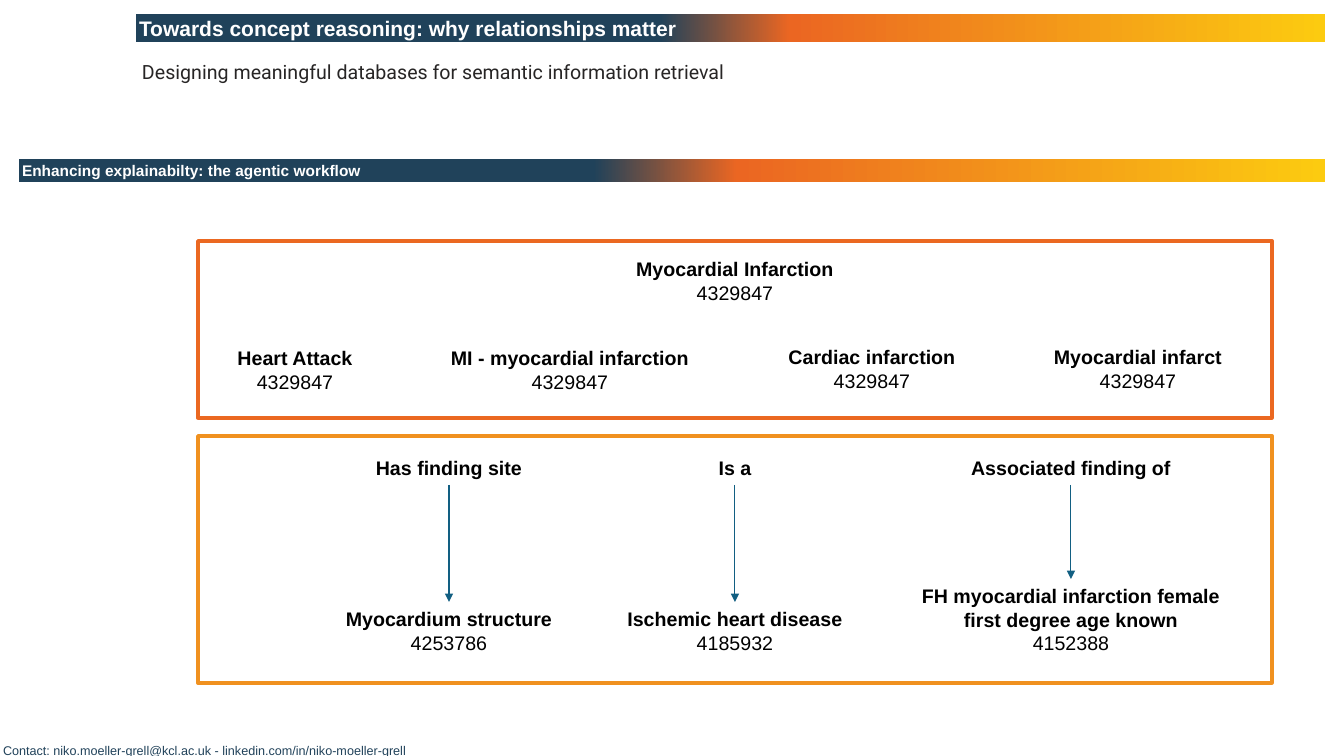
import pptx
import pptx.dml.color
import pptx.enum.shapes
import pptx.enum.text
import pptx.oxml
import pptx.oxml.ns
import pptx.util
from lxml import etree

COLORS = {
    "navy": "20425A", "orange": "EB6622", "yellow": "FCCB10",
    "ink": "272525", "contact": "21425A", "black": "000000", "white": "FFFFFF",
    "arrow": "125F82", "synonyms": "EB6821", "relations": "F09120",
}
GRADIENT = [(0, "navy"), (44, "navy"), (55, "orange"), (100, "yellow")]

SUBTITLE = "Designing meaningful databases for semantic information retrieval"
CONTACT = "Contact: niko.moeller-grell@kcl.ac.uk - linkedin.com/in/niko-moeller-grell"
# text, size, (left, top, width, height)
BANNERS = [
    ("Towards concept reasoning: why relationships matter", 15, (136, 14, 1189, 28)),
    ("Enhancing explainabilty: the agentic workflow", 11, (19, 159, 1306, 23)),
]
# name, centre x, top, width
CONCEPT_ID = "4329847"
CONCEPTS = [
    ("Myocardial Infarction", 735, 252, 218),
    ("Heart Attack", 295, 341, 138),
    ("MI - myocardial infarction", 570, 341, 260),
    ("Cardiac infarction", 872, 340, 188),
    ("Myocardial infarct", 1138, 340, 190),
]
# relation, its width, target lines, target id, target width, centre x
RELATIONS = [
    ("Has finding site", 168, ["Myocardium structure"], "4253786", 228, 449),
    ("Associated finding of", 220,
     ["FH myocardial infarction female", "first degree age known"], "4152388", 328, 1071),
    ("Is a", 54, ["Ischemic heart disease"], "4185932", 238, 735),
]
FRAMES = [("synonyms", (198, 241, 1074, 177)), ("relations", (198, 436, 1074, 247))]

SLIDE_W, SLIDE_H = 1344, 756
RELATION_TOP, RELATION_H = 451, 34
CONCEPT_H, LINE_H = 82, 23
TARGET_BOTTOM = 684


def px(length):
    return round(length * 914400 / 100.8)


def rgb(name):
    return pptx.dml.color.RGBColor.from_string(COLORS[name])


def add_run(paragraph, text, size, color, bold=False, font="Arial"):
    run = paragraph.add_run()
    run.text = text
    run.font.size = pptx.util.Pt(size)
    run.font.name = font
    run.font.bold = bold
    run.font.color.rgb = rgb(color)


def set_tight_margins(frame):
    frame.margin_left = frame.margin_right = px(3)
    frame.margin_top = frame.margin_bottom = px(1)


def add_line_of_text(shapes, text, box, size, color, font="Arial"):
    frame = shapes.add_textbox(*map(px, box)).text_frame
    frame.word_wrap = True
    set_tight_margins(frame)
    add_run(frame.paragraphs[0], text, size, color, font=font)
    return frame.paragraphs[0]


def add_banner(shapes, text, size, box):
    banner = shapes.add_shape(pptx.enum.shapes.MSO_SHAPE.RECTANGLE, *map(px, box))
    banner.shadow.inherit = False
    banner.line.fill.background()
    banner.fill.gradient()
    banner.fill.gradient_angle = 0
    stops = banner._element.spPr.find(".//" + pptx.oxml.ns.qn("a:gsLst"))
    for stop in list(stops):
        stops.remove(stop)
    for percent, color in GRADIENT:
        stop = etree.SubElement(stops, pptx.oxml.ns.qn("a:gs"), pos=str(percent * 1000))
        etree.SubElement(stop, pptx.oxml.ns.qn("a:srgbClr"), val=COLORS[color])
    frame = banner.text_frame
    set_tight_margins(frame)
    frame.vertical_anchor = pptx.enum.text.MSO_ANCHOR.MIDDLE
    frame.paragraphs[0].alignment = pptx.enum.text.PP_ALIGN.LEFT
    add_run(frame.paragraphs[0], text, size, "white", bold=True)


def add_concept(shapes, names, number, center, top, width, height):
    """Centred bold name lines, with the concept number below if there is one."""
    box = shapes.add_textbox(px(center - width / 2), px(top), px(width), px(height))
    frame = box.text_frame
    frame.word_wrap = False
    frame.auto_size = pptx.enum.text.MSO_AUTO_SIZE.SHAPE_TO_FIT_TEXT
    lines = [(name, True) for name in names] + ([(number, False)] if number else [])
    for i, (text, bold) in enumerate(lines):
        paragraph = frame.add_paragraph() if i else frame.paragraphs[0]
        paragraph.alignment = pptx.enum.text.PP_ALIGN.CENTER
        add_run(paragraph, text, 14, "black", bold)
    return box


def add_arrow(shapes, source, target, center):
    arrow = shapes.add_connector(
        pptx.enum.shapes.MSO_CONNECTOR.STRAIGHT,
        px(center), source.top + source.height, px(center), target.top)
    arrow.begin_connect(source, 2)
    arrow.end_connect(target, 0)
    arrow.line.color.rgb = rgb("arrow")
    arrow.line.width = pptx.util.Pt(0.75)
    etree.SubElement(arrow.line._get_or_add_ln(), pptx.oxml.ns.qn("a:tailEnd"), type="triangle")
    etree.SubElement(arrow._element.spPr, pptx.oxml.ns.qn("a:effectLst"))


def add_frame(shapes, color, box):
    frame = shapes.add_shape(pptx.enum.shapes.MSO_SHAPE.RECTANGLE, *map(px, box))
    frame.shadow.inherit = False
    frame.fill.background()
    frame.line.color.rgb = rgb(color)
    frame.line.width = pptx.util.Pt(2.5)


def main():
    deck = pptx.Presentation()
    deck.slide_width, deck.slide_height = px(SLIDE_W), px(SLIDE_H)
    shapes = deck.slides.add_slide(deck.slide_layouts[6]).shapes

    subtitle = add_line_of_text(shapes, SUBTITLE, (139, 46, 970, 55), 14, "ink", "Roboto")
    subtitle.line_spacing = 1.57
    for text, size, box in BANNERS:
        add_banner(shapes, text, size, box)
    add_line_of_text(shapes, CONTACT, (0, 742, 860, 18), 9, "contact")

    for name, center, top, width in CONCEPTS:
        add_concept(shapes, [name], CONCEPT_ID, center, top, width, CONCEPT_H)

    for relation, relation_w, names, number, target_w, center in RELATIONS:
        group = shapes.add_group_shape().shapes
        height = CONCEPT_H + LINE_H * (len(names) - 1)
        source = add_concept(group, [relation], None, center,
                             RELATION_TOP, relation_w, RELATION_H)
        target = add_concept(group, names, number, center,
                             TARGET_BOTTOM - height, target_w, height)
        add_arrow(group, source, target, center)

    for color, box in FRAMES:
        add_frame(shapes, color, box)

    deck.save("out.pptx")


if __name__ == "__main__":
    main()
